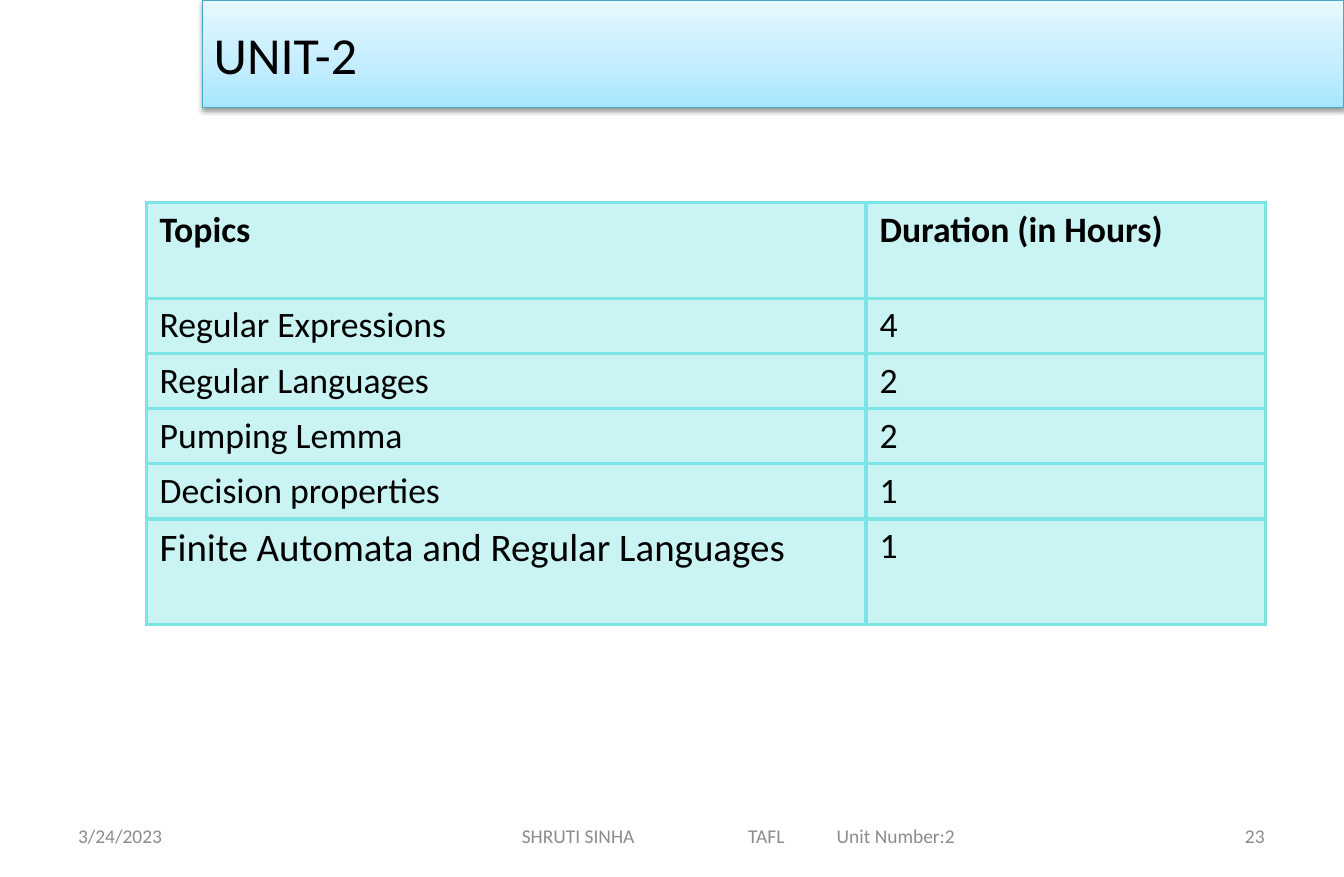
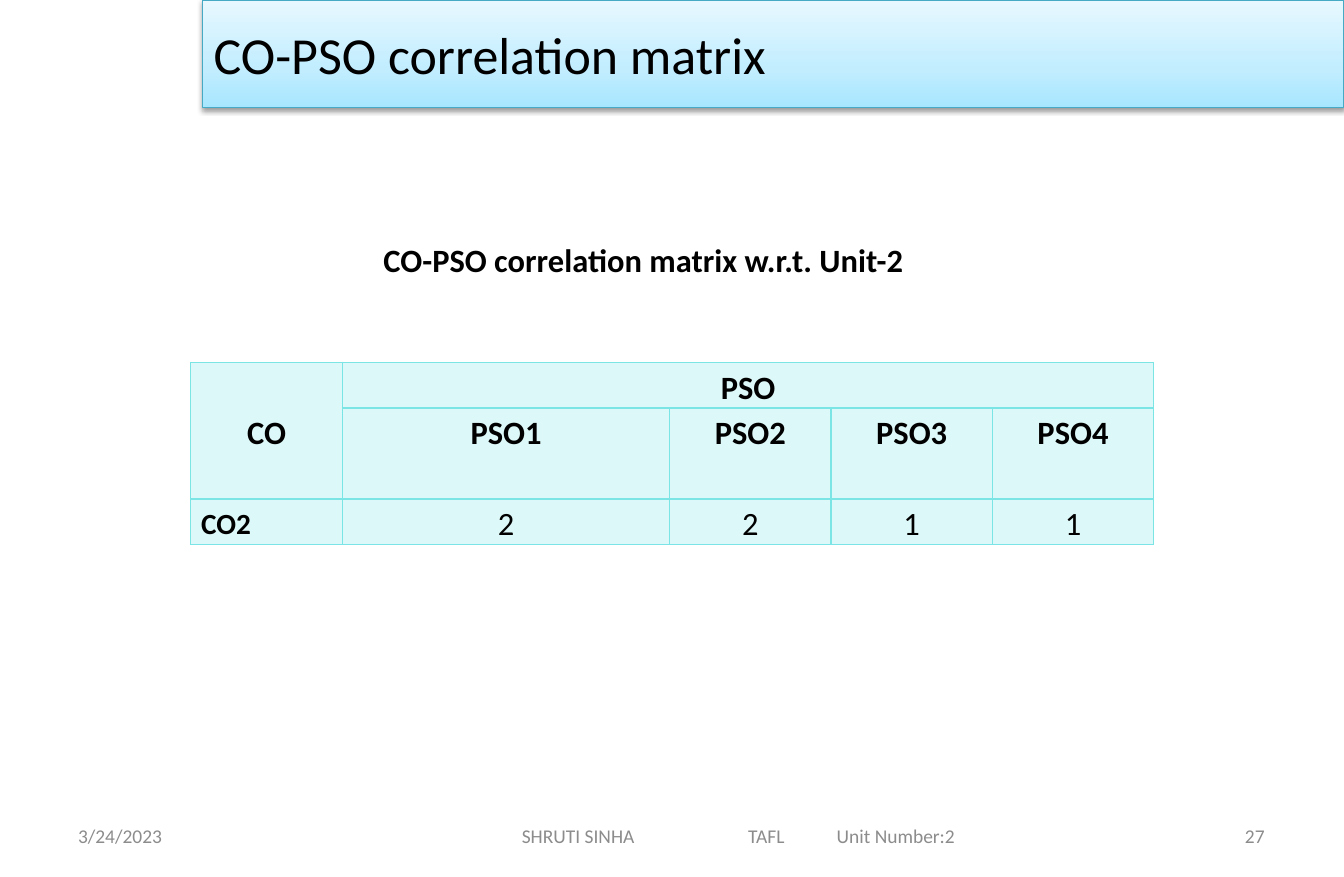
import dataclasses

import lxml.etree
import pptx
import pptx.dml.color
import pptx.enum.shapes
import pptx.enum.text
import pptx.oxml.ns
import pptx.util

Pt = pptx.util.Pt
qn = pptx.oxml.ns.qn
ALIGN = pptx.enum.text.PP_ALIGN
ANCHOR = pptx.enum.text.MSO_ANCHOR


@dataclasses.dataclass(frozen=True)
class Theme:
    font: str = "Calibri"
    ink: str = "000000"
    muted: str = "8C8C8C"
    cell: str = "7BE5E5"
    band_line: str = "46AAC5"
    band_stops: tuple = ((0, "A7E6FF"), (35, "C1EDFF"), (100, "E7F8FF"))
    title: float = 32
    large: float = 24
    topic: float = 22
    body: float = 20
    small: float = 18
    footer: float = 12


THEME = Theme()
SLIDE_SIZE = (828, 540)
BAND_BOX = (124.6, 0, 703.4, 66.2)
FOOTER_BOX = (41, 500.4, 745.2, 28.8)
TOPICS = [
    ("Topics", "Duration (in Hours)"),
    ("Regular Expressions", "4"),
    ("Regular Languages", "2"),
    ("Pumping Lemma", "2"),
    ("Decision properties", "1"),
    ("Finite Automata and Regular Languages", "1"),
]
MATRIX = [
    ("CO", "PSO", "", "", ""),
    ("", "PSO1", "PSO2", "PSO3", "PSO4"),
    ("CO2", "2", "2", "1", "1"),
]


def rgb(value):
    return pptx.dml.color.RGBColor.from_string(value)


def add_element(parent, tag, **attributes):
    element = lxml.etree.SubElement(parent, qn(tag))
    for key, value in attributes.items():
        element.set(key, str(value))
    return element


def write_text(frame, text, size=THEME.body, color=THEME.ink, bold=False,
               align=ALIGN.LEFT, anchor=ANCHOR.TOP, wrap=True, spacing=None, tabs=()):
    frame.word_wrap = wrap
    frame.vertical_anchor = anchor
    paragraph = frame.paragraphs[0]
    paragraph.alignment = align
    if spacing:
        paragraph.line_spacing = spacing
    if tabs:
        stops = add_element(paragraph._p.get_or_add_pPr(), "a:tabLst")
        for position in tabs:
            add_element(stops, "a:tab", pos=Pt(position), algn="l")
    run = paragraph.add_run()
    run.text = text
    run.font.name = THEME.font
    run.font.size = Pt(size)
    run.font.bold = bold
    run.font.color.rgb = rgb(color)


def add_text(slide, box, text, **text_format):
    frame = slide.shapes.add_textbox(*map(Pt, box)).text_frame
    write_text(frame, text, **text_format)
    return frame


def add_title_band(slide, box, title):
    band = slide.shapes.add_shape(
        pptx.enum.shapes.MSO_SHAPE.RECTANGLE, *map(Pt, box))
    band.fill.gradient()
    band.fill.gradient_angle = 90
    stops = band._element.spPr.find(qn("a:gradFill")).find(qn("a:gsLst"))
    for stop in list(stops):
        stops.remove(stop)
    for percent, color in THEME.band_stops:
        stop = add_element(stops, "a:gs", pos=percent * 1000)
        add_element(stop, "a:srgbClr", val=color)
    band.line.color.rgb = rgb(THEME.band_line)
    band.line.width = Pt(0.75)
    band.shadow.inherit = False
    shadow = add_element(
        band._element.spPr.find(qn("a:effectLst")), "a:outerShdw",
        blurRad=Pt(3.1), dist=Pt(1.6), dir=90 * 60000, rotWithShape=0)
    shade = add_element(shadow, "a:srgbClr", val=THEME.ink)
    add_element(shade, "a:alpha", val=38000)
    write_text(band.text_frame, title, size=THEME.title, anchor=ANCHOR.MIDDLE)


def add_footer(slide, box, number):
    left, top, width, height = box
    side = 193
    style = dict(size=THEME.footer, color=THEME.muted, anchor=ANCHOR.MIDDLE)
    add_text(slide, (left, top, side, height), "3/24/2023", **style)
    course = add_text(slide, (left + 186.5, top, 455.8, height),
                      "SHRUTI SINHA\tTAFL\tUnit Number:2", tabs=(139.5, 194), **style)
    course.margin_left = Pt(94)
    add_text(slide, (left + width - side, top, side, height), str(number),
             align=ALIGN.RIGHT, **style)


def style_cell(cell, border, opacity, margins):
    across, down = margins
    cell.margin_left = cell.margin_right = Pt(across)
    cell.margin_top = cell.margin_bottom = Pt(down)
    cell.fill.solid()
    cell.fill.fore_color.rgb = rgb(THEME.cell)
    properties = cell._tc.get_or_add_tcPr()
    add_element(next(properties.iter(qn("a:srgbClr"))), "a:alpha", val=opacity * 1000)
    for index, side in enumerate(("a:lnL", "a:lnR", "a:lnT", "a:lnB")):
        line = add_element(properties, side, w=Pt(border))
        add_element(add_element(line, "a:solidFill"), "a:srgbClr", val=THEME.cell)
        properties.insert(index, line)


def add_grid(slide, corner, columns, rows, values, cell_format, **cell_style):
    """Add a table; cell_format(row, column) gives the text format of a cell."""
    table = slide.shapes.add_table(
        len(rows), len(columns), *map(Pt, (*corner, sum(columns), sum(rows)))).table
    table.first_row = table.horz_banding = False
    for column, width in zip(table.columns, columns):
        column.width = Pt(width)
    for row, height in zip(table.rows, rows):
        row.height = Pt(height)
    for r, row_values in enumerate(values):
        for c, value in enumerate(row_values):
            cell = table.cell(r, c)
            style_cell(cell, **cell_style)
            if value:
                text_format = cell_format(r, c)
                cell.vertical_anchor = text_format.pop("anchor", ANCHOR.TOP)
                write_text_in_cell(cell, value, text_format)
    return table


def write_text_in_cell(cell, value, text_format):
    anchor = cell.vertical_anchor
    write_text(cell.text_frame, value, **text_format)
    body = cell.text_frame._txBody.bodyPr
    for key in list(body.attrib):
        del body.attrib[key]
    cell.vertical_anchor = anchor


def topic_format(row, column):
    last_topic = row == len(TOPICS) - 1 and column == 0
    return dict(size=THEME.large if last_topic else THEME.topic, bold=row == 0)


def matrix_format(row, column):
    outcome = row == 2 and column == 0
    return dict(
        size=THEME.small if outcome else THEME.body,
        bold=row < 2 or column == 0,
        align=ALIGN.LEFT if outcome else ALIGN.CENTER,
        anchor=ANCHOR.MIDDLE if column == 0 else ANCHOR.TOP,
        spacing=1.15)


def add_framed_slide(deck, title, number):
    slide = deck.slides.add_slide(deck.slide_layouts[6])
    add_title_band(slide, BAND_BOX, title)
    add_footer(slide, FOOTER_BOX, number)
    return slide


def add_topics_slide(deck):
    slide = add_framed_slide(deck, "UNIT-2", 23)
    add_grid(slide, (90, 124.6), (443.5, 246.2), (59, *[34] * 4, 64.8),
             TOPICS, topic_format, border=2.25, opacity=40, margins=(8.4, 3.6))


def add_matrix_slide(deck):
    slide = add_framed_slide(deck, "CO-PSO correlation matrix", 27)
    add_text(slide, (227.5, 144, 337.7, 31.7),
             "CO-PSO correlation matrix w.r.t. Unit-2",
             bold=True, align=ALIGN.CENTER, wrap=False)
    table = add_grid(slide, (117.4, 223.2), (93.6, 201.6, *[99.4] * 3), (28, 56, 28),
                     MATRIX, matrix_format, border=1, opacity=25, margins=(6.5, 0))
    table.cell(0, 0).merge(table.cell(1, 0))
    table.cell(0, 1).merge(table.cell(0, 4))


def main():
    deck = pptx.Presentation()
    deck.slide_width, deck.slide_height = map(Pt, SLIDE_SIZE)
    add_topics_slide(deck)
    add_matrix_slide(deck)
    deck.save("out.pptx")


if __name__ == "__main__":
    main()
